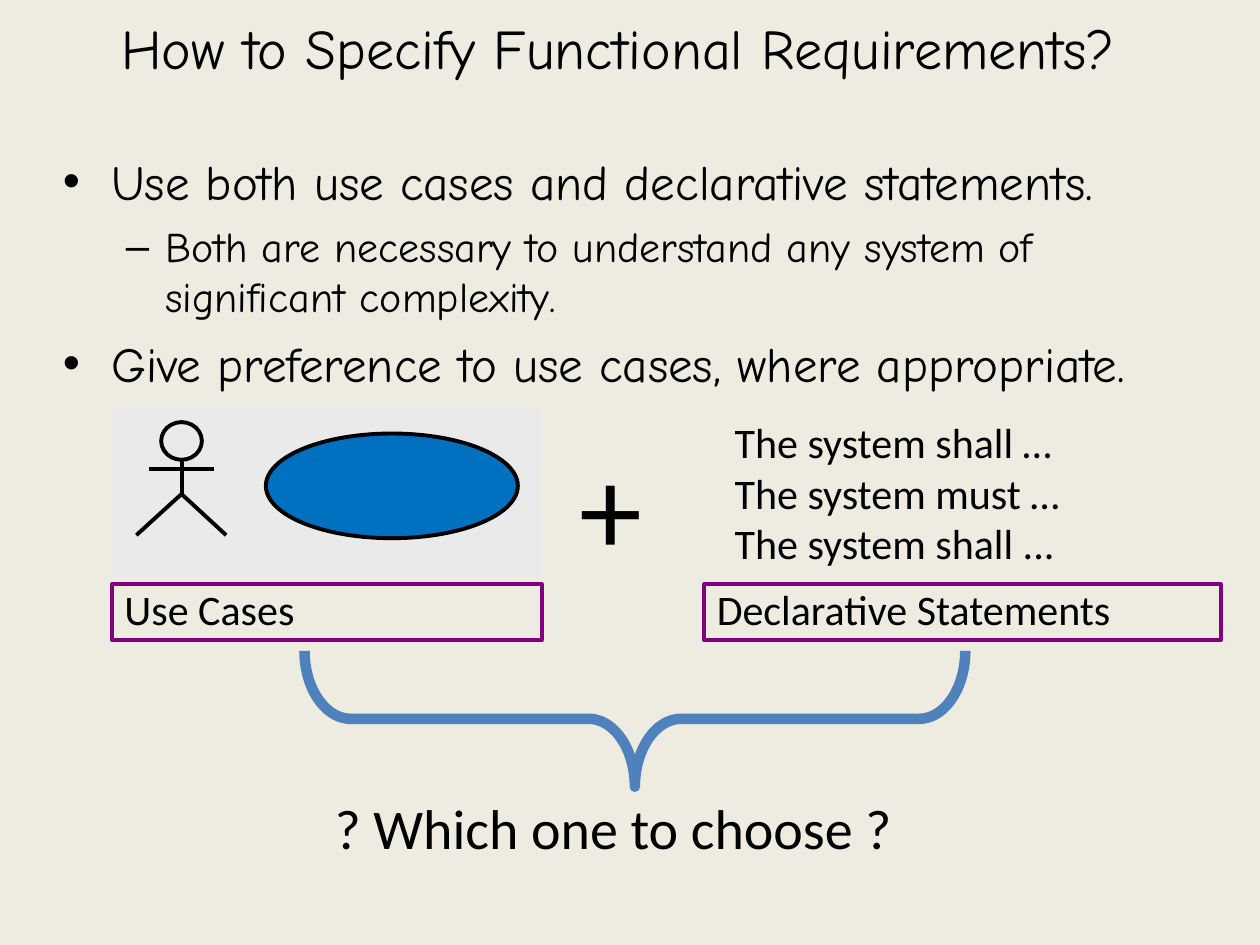
from dataclasses import dataclass

from lxml import etree
from pptx import Presentation
from pptx import util as u
from pptx.dml.color import RGBColor
from pptx.enum import shapes, text
from pptx.oxml.ns import qn


@dataclass(frozen=True)
class Theme:
    """Colours, fonts and sizes of the slide."""
    paper: str = "EEECE1"
    ink: str = "000000"
    panel: str = "EAEAEA"
    use_case: str = "0070C0"
    frame: str = "800080"
    brace: str = "4F81BD"
    hand: str = "Comic Neue"
    sans: str = "Calibri"
    heading: int = 32
    point: int = 28
    detail: int = 24
    plus: int = 72
    stroke: float = 2.25
    brace_stroke: float = 6


THEME = Theme()


def cm_box(box):
    """Turn a box in centimetres into lengths."""
    return [u.Cm(round(side, 2)) for side in box]


def paint(shape, fill=None, line=None, width=THEME.stroke):
    """Set fill and outline, leaving out whatever is not given."""
    shape.shadow.inherit = False
    if fill:
        shape.fill.solid()
        shape.fill.fore_color.rgb = RGBColor.from_string(fill)
    else:
        shape.fill.background()
    if line:
        shape.line.color.rgb = RGBColor.from_string(line)
        shape.line.width = u.Pt(width)
    else:
        shape.line.fill.background()
    return shape


def style(paragraph, size, family=THEME.sans):
    """Set the font of a paragraph."""
    paragraph.font.size = u.Pt(size)
    paragraph.font.name = family
    paragraph.font.color.rgb = RGBColor.from_string(THEME.ink)


def write(shape, lines, size, family=THEME.sans, spacing=None,
          align=text.PP_ALIGN.LEFT, anchor=text.MSO_ANCHOR.MIDDLE):
    """Fill a shape with equally styled paragraphs and return them."""
    frame = shape.text_frame
    frame.word_wrap = True
    frame.vertical_anchor = anchor
    frame.text = "\n".join(lines)
    for paragraph in frame.paragraphs:
        paragraph.alignment = align
        paragraph.line_spacing = spacing
        style(paragraph, size, family)
    return frame.paragraphs


def add_label(slide, box, lines, size, **options):
    """Add a text box holding the given lines."""
    return write(slide.shapes.add_textbox(*cm_box(box)), lines, size, **options)


def add_points(slide, box, points):
    """Add the bulleted points, each a level and its wording."""
    levels = [("•", 0.97, 0.97, THEME.point, 7), ("–", 2.06, 0.79, THEME.detail, 6)]
    paragraphs = add_label(slide, box, [wording for _, wording in points],
                           THEME.point, family=THEME.hand,
                           anchor=text.MSO_ANCHOR.TOP)
    for index, (paragraph, (level, _)) in enumerate(zip(paragraphs, points)):
        mark, margin, hanging, size, before = levels[level]
        paragraph.level = level
        properties = paragraph._p.get_or_add_pPr()
        properties.set("marL", str(u.Cm(margin)))
        properties.set("indent", str(-u.Cm(hanging)))
        bullet_font = etree.Element(qn("a:buFont"), typeface="Arial")
        bullet = etree.Element(qn("a:buChar"), char=mark)
        properties.find(qn("a:defRPr")).addprevious(bullet_font)
        bullet_font.addnext(bullet)
        style(paragraph, size, THEME.hand)
        if index:
            paragraph.space_before = u.Pt(before)


def add_actor(slide, box):
    """Draw the stick figure of an actor inside a box."""
    left, top, width, height = box
    middle, hip = left + width / 2, top + 1.45
    figure = slide.shapes.add_group_shape().shapes
    paint(figure.add_shape(shapes.MSO_SHAPE.OVAL,
                           *cm_box((middle - 0.41, top, 0.82, 0.76))),
          line=THEME.ink)
    for ends in ((middle, top + 0.76, middle, hip),
                 (middle - 0.66, top + 0.95, middle + 0.66, top + 0.95)):
        limb = figure.add_connector(shapes.MSO_CONNECTOR.STRAIGHT, *cm_box(ends))
        limb.line.color.rgb = RGBColor.from_string(THEME.ink)
        limb.line.width = u.Pt(THEME.stroke)
        etree.SubElement(limb._element.spPr, qn("a:effectLst"))
    legs = figure.build_freeform(*cm_box((left, top + height)))
    legs.add_line_segments([cm_box((middle, hip)),
                            cm_box((left + width, top + height))], close=False)
    paint(legs.convert_to_shape(), line=THEME.ink)


def add_caption(slide, box, wording):
    """Add the framed caption under a column."""
    left, top, width, _ = box
    caption = slide.shapes.add_shape(shapes.MSO_SHAPE.RECTANGLE,
                                     *cm_box((left, top + 3.58, width, 1.13)))
    paint(caption, line=THEME.frame)
    write(caption, [wording], THEME.detail, spacing=0.85)


def add_use_cases(slide, box):
    """Draw the use case column: panel, actor, ellipse and caption."""
    left, top, _, _ = box
    paint(slide.shapes.add_shape(shapes.MSO_SHAPE.RECTANGLE, *cm_box(box)),
          THEME.panel)
    paint(slide.shapes.add_shape(shapes.MSO_SHAPE.OVAL,
                                 *cm_box((left + 3.1, top + 0.54, 5.08, 2.11))),
          THEME.use_case, THEME.ink)
    add_actor(slide, (left + 0.49, top + 0.31, 1.81, 2.28))
    add_caption(slide, box, "Use Cases")


def add_statements(slide, box):
    """Write the declarative statements column and its caption."""
    statements = add_label(slide, box, ["The system shall …", "The system must …",
                                        "The system shall ..."], THEME.detail)
    for statement in statements:
        statement._p.get_or_add_pPr().set("marL", str(u.Cm(0.36)))
    add_caption(slide, box, "Declarative Statements")


def add_brace(slide, box):
    """Draw a brace that points down and fills a box."""
    left, top, width, height = box
    offset = (width - height) / 2
    brace = slide.shapes.add_shape(
        shapes.MSO_SHAPE.LEFT_BRACE,
        *cm_box((left + offset, top - offset, height, width)))
    brace.rotation = 270
    brace.adjustments[0] = 0.34
    paint(brace, line=THEME.brace, width=THEME.brace_stroke)


def main():
    """Build and save the slide."""
    deck = Presentation()
    deck.slide_width, deck.slide_height = u.Cm(25.4), u.Cm(19.05)
    slide = deck.slides.add_slide(deck.slide_layouts[6])
    slide.background.fill.solid()
    slide.background.fill.fore_color.rgb = RGBColor.from_string(THEME.paper)

    add_label(slide, (0.2, 0.2, 24.54, 1.48),
              ["How to Specify Functional Requirements?"], THEME.heading,
              family=THEME.hand, align=text.PP_ALIGN.CENTER)
    add_points(slide, (1.02, 2.92, 23.6, 6.78), [
        (0, "Use both use cases and declarative statements."),
        (1, "Both are necessary to understand any system of significant complexity."),
        (0, "Give preference to use cases, where appropriate."),
    ])
    add_use_cases(slide, (2.26, 8.2, 8.66, 3.45))
    add_label(slide, (11.43, 8.64, 2, 3.56), ["+"], THEME.plus, spacing=0.85)
    add_statements(slide, (14.2, 8.2, 10.41, 3.45))
    add_brace(slide, (6.14, 13.12, 13.32, 2.74))
    add_label(slide, (6.5, 16.08, 12.95, 1.4), ["? Which one to choose ?"],
              THEME.heading, spacing=0.85)
    deck.save("out.pptx")


if __name__ == "__main__":
    main()
